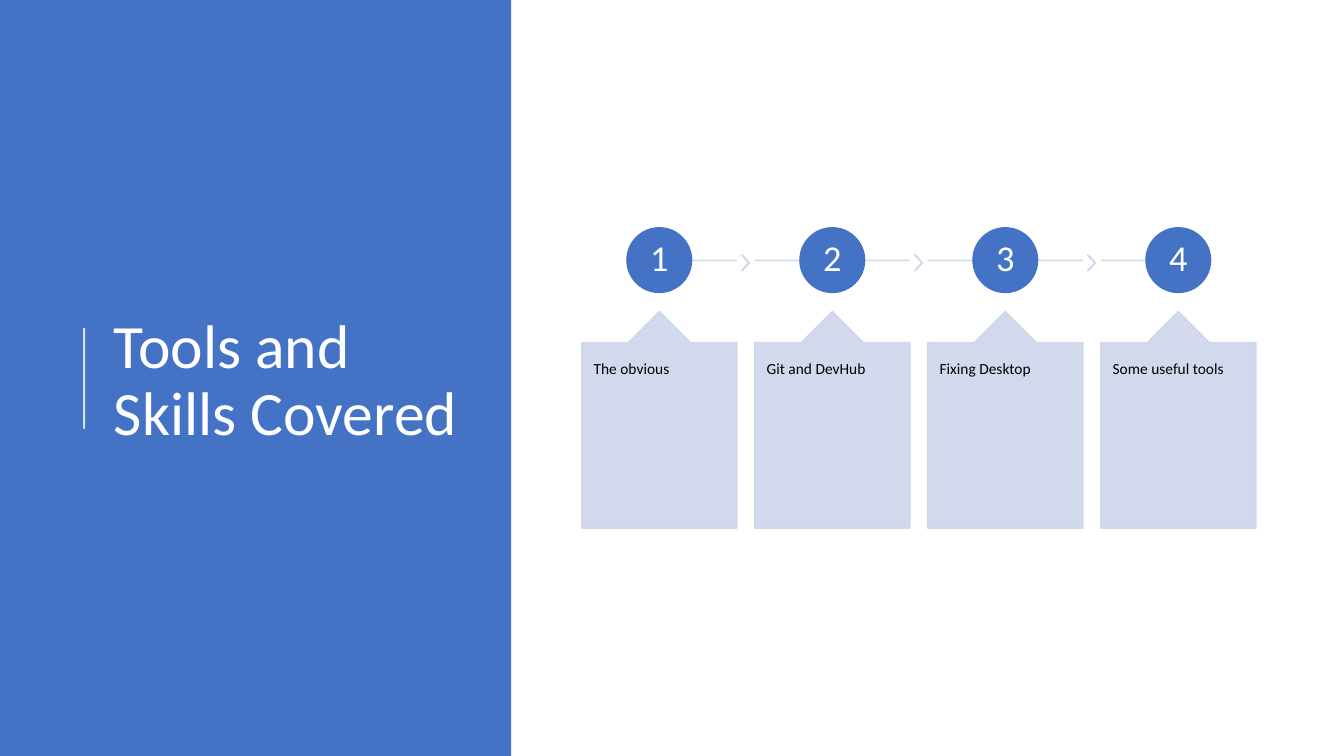
from lxml.etree import SubElement
from pptx import Presentation
from pptx.dml.color import RGBColor
from pptx.enum.shapes import MSO_CONNECTOR, MSO_SHAPE
from pptx.enum.text import MSO_ANCHOR, MSO_AUTO_SIZE, PP_ALIGN
from pptx.oxml.ns import qn
from pptx.util import Cm, Pt

# Content
TITLE = "Tools and Skills Covered"
STEPS = ["The obvious", "Git and DevHub", "Fixing Desktop", "Some useful tools"]

# Colours
BLUE = RGBColor(0x44, 0x72, 0xC4)
PALE = RGBColor(0xCF, 0xD5, 0xEA)
WHITE = RGBColor(0xFF, 0xFF, 0xFF)
BLACK = RGBColor(0, 0, 0)

# Step geometry in cm
LEFT, PITCH, BOX_W = 14.66, 4.36, 3.91
BOX_TOP, BOX_H = 7.85, 5.46
CIRCLE, CIRCLE_TOP = 1.63, 5.74
LINE_Y = 6.56
CHEVRON_DX, CHEVRON_TOP, CHEVRON_W, CHEVRON_H = 4.03, 6.43, 0.2, 0.39

prs = Presentation()
prs.slide_width, prs.slide_height = Cm(33.87), Cm(19.05)
slide = prs.slides.add_slide(prs.slide_layouts[5])
shapes = slide.shapes


def set_alpha(element, percent):
    for color in element.iter(qn("a:srgbClr")):
        SubElement(color, qn("a:alpha"), val=str(percent * 1000))


def add_shape(kind, x, y, w, h, color, alpha=None, adjustments=()):
    sp = shapes.add_shape(kind, Cm(x), Cm(y), Cm(w), Cm(h))
    sp.shadow.inherit = False
    sp.fill.solid()
    sp.fill.fore_color.rgb = color
    sp.line.color.rgb = color
    sp.line.width = Pt(1)
    for i, value in enumerate(adjustments):
        sp.adjustments[i] = value
    if alpha:
        set_alpha(sp.element.spPr, alpha)
    return sp


def add_line(x1, y1, x2, y2, color, width, alpha):
    line = shapes.add_connector(MSO_CONNECTOR.STRAIGHT, Cm(x1), Cm(y1), Cm(x2), Cm(y2))
    line.line.color.rgb = color
    line.line.width = Pt(width)
    set_alpha(line.element.spPr, alpha)
    SubElement(line.element.spPr, qn("a:effectLst"))


def write(sp, text, size, color, align, anchor, inset_x, inset_y):
    tf = sp.text_frame
    frame = {"word_wrap": True, "auto_size": MSO_AUTO_SIZE.NONE, "vertical_anchor": anchor,
             "margin_left": Cm(inset_x), "margin_right": Cm(inset_x),
             "margin_top": Cm(inset_y), "margin_bottom": Cm(inset_y)}
    for name, value in frame.items():
        setattr(tf, name, value)
    p = tf.paragraphs[0]
    p.alignment, p.line_spacing = align, 0.9
    r = p.add_run()
    r.text = text
    for name, value in {"name": "Calibri", "size": Pt(size)}.items():
        setattr(r.font, name, value)
    r.font.color.rgb = color


# Title panel
title = shapes.title
panel = add_shape(MSO_SHAPE.RECTANGLE, 0, 0, 12.88, 19.05, BLUE)
panel.line.fill.background()
title.element.addprevious(panel.element)
add_line(2.12, 8.26, 2.12, 10.8, WHITE, 1.5, 80)
for name, value in {"left": 2.62, "top": 1.98, "width": 9.37, "height": 15.29}.items():
    setattr(title, name, Cm(value))
write(title, TITLE, 44, WHITE, PP_ALIGN.LEFT, MSO_ANCHOR.MIDDLE, 0.25, 0.13)

# Numbered steps
last = len(STEPS) - 1
for i, step in enumerate(STEPS):
    x = LEFT + i * PITCH
    center = x + BOX_W / 2
    add_line(x if i > 0 else center, LINE_Y,
             x + BOX_W if i < last else center, LINE_Y, PALE, 1, 90)
    if i < last:
        add_shape(MSO_SHAPE.CHEVRON, x + CHEVRON_DX, CHEVRON_TOP,
                  CHEVRON_W, CHEVRON_H, PALE, 90, [0.9])
    circle = add_shape(MSO_SHAPE.OVAL, center - CIRCLE / 2, CIRCLE_TOP, CIRCLE, CIRCLE, BLUE)
    write(circle, str(i + 1), 26, WHITE, PP_ALIGN.CENTER, MSO_ANCHOR.MIDDLE, 0.05, 0.05)
    callout = add_shape(MSO_SHAPE.UP_ARROW_CALLOUT, x, BOX_TOP, BOX_W, BOX_H,
                        PALE, 90, [0.5, 0.2, 0.2, 1])
    write(callout, step, 11, BLACK, PP_ALIGN.LEFT, MSO_ANCHOR.TOP, 0.3, 0.46)

prs.save("out.pptx")
